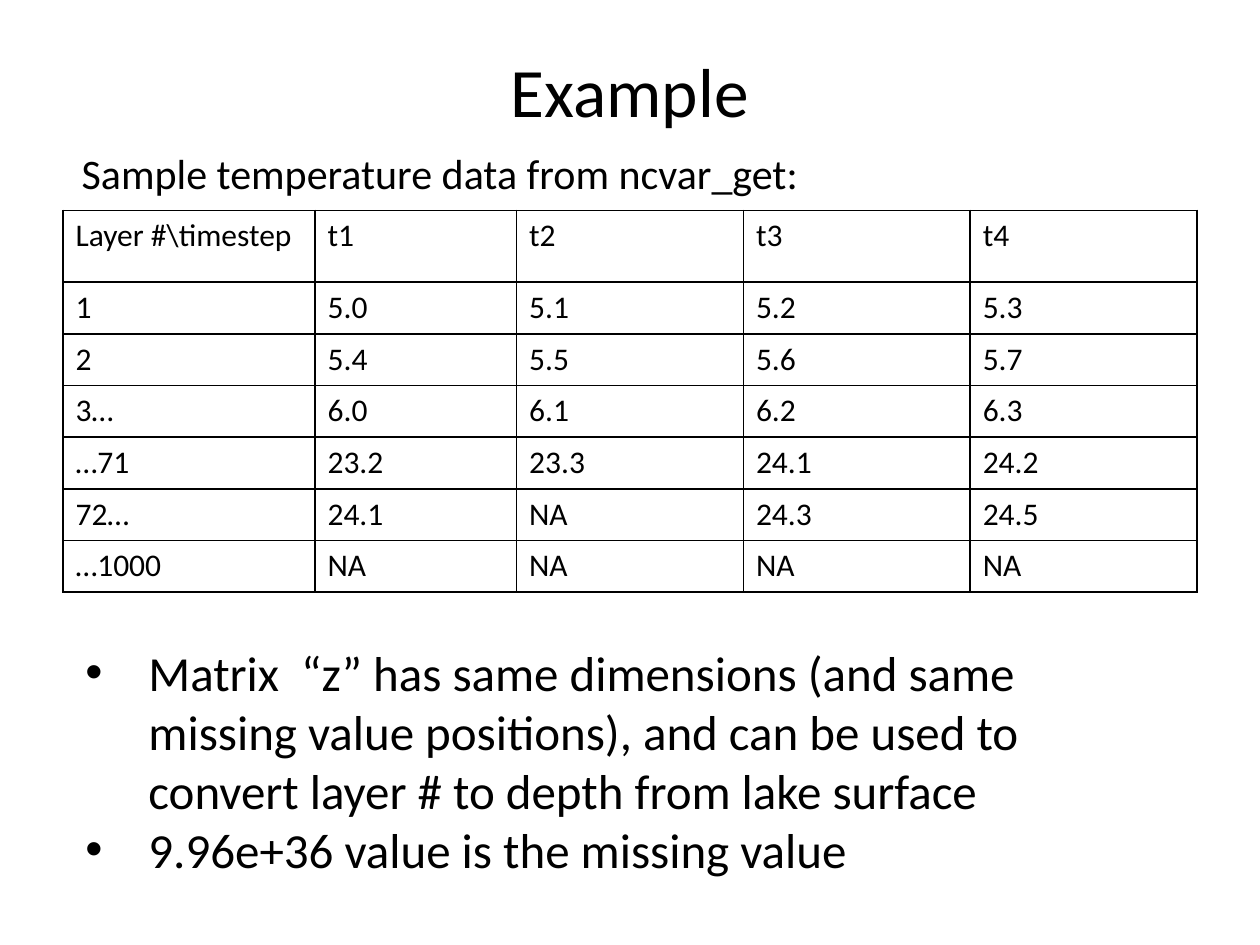
from lxml import etree
from pptx import Presentation
from pptx import util as u
from pptx.dml.color import RGBColor
from pptx.enum import text
from pptx.oxml.ns import qn

BLACK = RGBColor(0x00, 0x00, 0x00)
WHITE = RGBColor(0xFF, 0xFF, 0xFF)

COLS = [2, 1.6, 1.8, 1.8, 1.8]
ROWS = [0.57] + [0.41] * 6
DATA = [
    ["Layer #\\timestep", "t1", "t2", "t3", "t4"],
    ["1", "5.0", "5.1", "5.2", "5.3"],
    ["2", "5.4", "5.5", "5.6", "5.7"],
    ["3…", "6.0", "6.1", "6.2", "6.3"],
    ["…71", "23.2", "23.3", "24.1", "24.2"],
    ["72…", "24.1", "NA", "24.3", "24.5"],
    ["…1000", "NA", "NA", "NA", "NA"],
]
NOTES = [
    "Matrix  “z” has same dimensions (and same missing value positions), "
    "and can be used to convert layer # to depth from lake surface",
    "9.96e+36 value is the missing value",
]


class Page:
    """Holds the text style and the current slide."""

    style = {"name": "Calibri", "bold": False}

    def __init__(self, deck):
        self.slide = deck.slides.add_slide(deck.slide_layouts[5])
        fill = self.slide.background.fill
        fill.solid()
        fill.fore_color.rgb = WHITE

    def add_run(self, para, words, size):
        run = para.add_run()
        run.text = words
        for key, val in {**self.style, "size": u.Pt(size)}.items():
            setattr(run.font, key, val)
        run.font.color.rgb = BLACK

    def title(self, words, box, size):
        shape = self.slide.shapes.title
        for key, val in zip(("left", "top", "width", "height"), box):
            setattr(shape, key, u.Inches(val))
        frame = shape.text_frame
        frame.vertical_anchor = text.MSO_ANCHOR.MIDDLE
        para = frame.paragraphs[0]
        para.alignment = text.PP_ALIGN.CENTER
        self.add_run(para, words, size)

    def text(self, lines, box, size, bullet=False):
        shape = self.slide.shapes.add_textbox(*map(u.Inches, box))
        frame = shape.text_frame
        frame.word_wrap = True
        frame.auto_size = text.MSO_AUTO_SIZE.SHAPE_TO_FIT_TEXT
        for i, line in enumerate(lines):
            para = frame.add_paragraph() if i else frame.paragraphs[0]
            if bullet:
                self.bullet(para)
            self.add_run(para, line, size)

    def bullet(self, para):
        props = para._p.get_or_add_pPr()
        props.set("marL", str(u.Inches(0.5)))
        props.set("indent", str(-u.Inches(0.5)))
        etree.SubElement(props, qn("a:buFont")).set("typeface", "Arial")
        etree.SubElement(props, qn("a:buChar")).set("char", "•")

    def border(self, cell):
        props = cell._tc.get_or_add_tcPr()
        for side in "LRTB":
            line = etree.SubElement(props, qn(f"a:ln{side}"), w=str(u.Pt(1)))
            fill = etree.SubElement(line, qn("a:solidFill"))
            etree.SubElement(fill, qn("a:srgbClr"), val=str(BLACK))

    def table(self, data, left, top, cols, rows, size):
        box = map(u.Inches, (left, top, sum(cols), sum(rows)))
        grid = self.slide.shapes.add_table(len(rows), len(cols), *box).table
        for col, width in zip(grid.columns, cols):
            col.width = u.Inches(width)
        for row, height, words in zip(grid.rows, rows, data):
            row.height = u.Inches(height)
            for cell, word in zip(row.cells, words):
                self.border(cell)
                cell.fill.background()
                self.add_run(cell.text_frame.paragraphs[0], word, size)


def main():
    deck = Presentation()
    deck.slide_width, deck.slide_height = u.Inches(10), u.Inches(7.5)
    page = Page(deck)

    # Heading
    page.title("Example", (0.5, 0.3, 9, 0.82), 39.6)

    # Temperature by layer and time step
    page.table(DATA, 0.5, 1.67, COLS, ROWS, 18)

    # Notes below the table
    page.text(NOTES, (0.58, 5.05, 8.75, 1.99), 28, bullet=True)

    # Table caption
    page.text(["Sample temperature data from ncvar_get:"],
              (0.55, 1.12, 7.62, 0.5), 24)

    deck.save("out.pptx")


if __name__ == "__main__":
    main()
